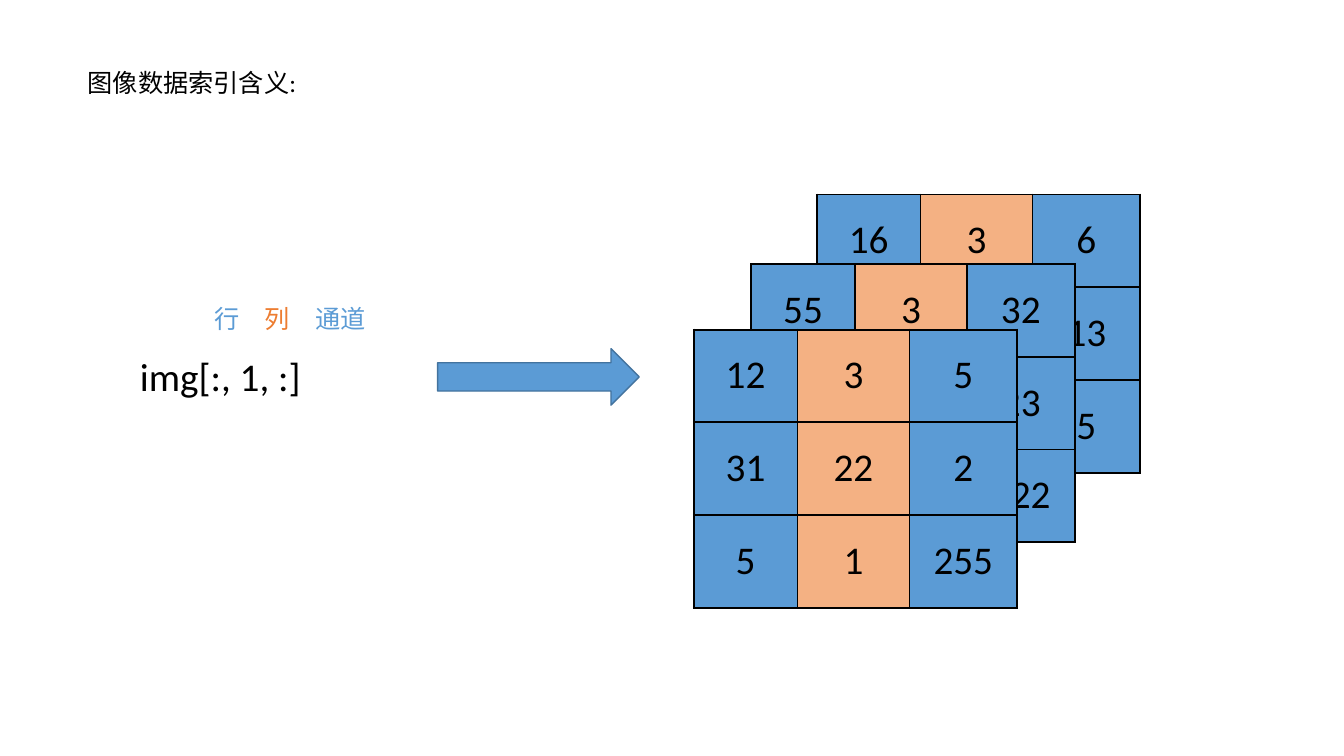
"""Build a slide explaining what each image array index selects."""
from lxml import etree
from pptx import Presentation
from pptx.dml.color import RGBColor
from pptx.enum.shapes import MSO_SHAPE
from pptx.enum.text import MSO_ANCHOR, MSO_AUTO_SIZE, PP_ALIGN
from pptx.oxml.ns import qn
from pptx.util import Inches, Pt

COLORS = {"black": "000000", "blue": "5B9BD5", "peach": "F4B183",
          "orange": "ED7D31", "outline": "43739E"}


def add_run(paragraph, text, size, color="black"):
    run = paragraph.add_run()
    run.text = text
    run.font.name = "Calibri"
    run.font.size = Pt(size)
    run.font.color.rgb = RGBColor.from_string(COLORS[color])


def style_cell(cell, text, fill):
    cell.fill.solid()
    cell.fill.fore_color.rgb = RGBColor.from_string(COLORS[fill])
    cell.vertical_anchor = MSO_ANCHOR.MIDDLE
    paragraph = cell.text_frame.paragraphs[0]
    paragraph.alignment = PP_ALIGN.CENTER
    paragraph.line_spacing = 0.9
    add_run(paragraph, text, 28)
    properties = cell._tc.get_or_add_tcPr()
    for index, side in enumerate(("a:lnL", "a:lnR", "a:lnT", "a:lnB")):
        border = etree.Element(qn(side), w=str(Pt(1.5)))
        solid = etree.SubElement(border, qn("a:solidFill"))
        etree.SubElement(solid, qn("a:srgbClr"), val=COLORS["black"])
        properties.insert(index, border)


prs = Presentation()
prs.slide_width, prs.slide_height = Inches(13.33), Inches(7.5)
slide = prs.slides.add_slide(prs.slide_layouts[5])
shapes = slide.shapes

title = shapes.title
title.left, title.top = Inches(0.77), Inches(0.62)
title.width, title.height = Inches(6.57), Inches(0.4)
title.text_frame.auto_size = MSO_AUTO_SIZE.NONE
title.text_frame.vertical_anchor = MSO_ANCHOR.TOP
title.text_frame.paragraphs[0].alignment = PP_ALIGN.LEFT
add_run(title.text_frame.paragraphs[0], "图像数据索引含义:", 18)

labels = [
    ((1.29, 3.45, 2.77, 0.57), 28, [("img[:, 1, :]", "black")]),
    ((2.03, 2.96, 2.3, 0.4), 18,
     [("行\u3000", "blue"), ("列", "orange"), ("\u3000通道", "blue")]),
]
for box, size, runs in labels:
    frame = shapes.add_textbox(*map(Inches, box)).text_frame
    frame.word_wrap = True
    for text, color in runs:
        add_run(frame.paragraphs[0], text, size, color)

channels = [
    (8.1, 1.93, [(16, 3, 6), (88, 255, 13), (98, 0, 5)]),
    (7.45, 2.62, [(55, 3, 32), (13, 267, 23), (1, 12, 122)]),
    (6.88, 3.27, [(12, 3, 5), (31, 22, 2), (5, 1, 255)]),
]
for left, top, pixels in channels:
    table = shapes.add_table(3, 3, Inches(left), Inches(top),
                             Inches(3.21), Inches(2.76)).table
    for column, width in zip(table.columns, (1.03, 1.11, 1.07)):
        column.width = Inches(width)
    for r, row in enumerate(pixels):
        table.rows[r].height = Inches(0.92)
        for c, value in enumerate(row):
            style_cell(table.cell(r, c), str(value), "peach" if c == 1 else "blue")

arrow = shapes.add_shape(MSO_SHAPE.RIGHT_ARROW, Inches(4.34), Inches(3.46),
                         Inches(2), Inches(0.56))
arrow.shadow.inherit = False
arrow.fill.solid()
arrow.fill.fore_color.rgb = RGBColor.from_string(COLORS["blue"])
arrow.line.color.rgb = RGBColor.from_string(COLORS["outline"])
arrow.line.width = Pt(1)

prs.save("out.pptx")
